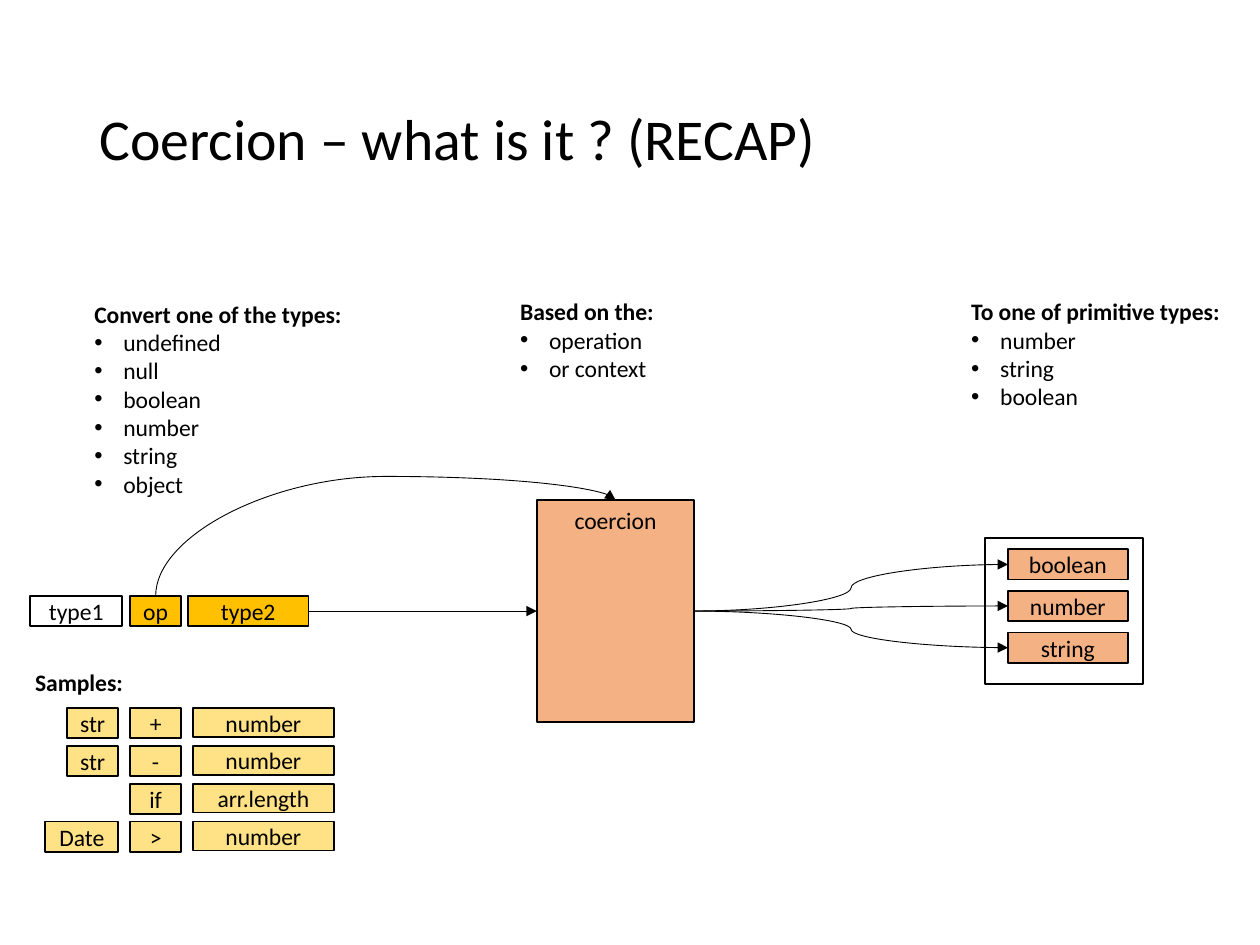
import pptx
import pptx.dml.color
import pptx.enum.shapes
import pptx.enum.text
import pptx.oxml.ns
import pptx.util
from lxml import etree

Inches, Pt = pptx.util.Inches, pptx.util.Pt
RGBColor = pptx.dml.color.RGBColor
ALIGN, ANCHOR = pptx.enum.text.PP_ALIGN, pptx.enum.text.MSO_ANCHOR
AUTO_SIZE = pptx.enum.text.MSO_AUTO_SIZE
SHAPE, CONNECTOR = pptx.enum.shapes.MSO_SHAPE, pptx.enum.shapes.MSO_CONNECTOR
qn = pptx.oxml.ns.qn

BLACK = RGBColor(0x00, 0x00, 0x00)
WHITE = RGBColor(0xFF, 0xFF, 0xFF)
AMBER = RGBColor(0xFF, 0xC0, 0x00)
YELLOW = RGBColor(0xFF, 0xE2, 0x85)
ORANGE = RGBColor(0xF4, 0xB1, 0x83)
FONT = "Calibri"
TEXT_SIZE, TITLE_SIZE = 13.5, 33
TOP, LEFT, BOTTOM, RIGHT = range(4)

# Content
TITLE = "Coercion – what is it ? (RECAP)"
LISTS = [  # position and size, heading, bullets
    ((0.65, 2.33, 2.18, 2.37), "Convert one of the types:",
     ["undefined", "null", "boolean", "number", "string", "object"]),
    ((4.03, 2.31, 1.27, 1.46), "Based on the:", ["operation", "or context"]),
    ((7.61, 2.31, 2.2, 1.24), "To one of primitive types:",
     ["number", "string", "boolean"]),
    ((0.18, 5.25, 0.91, 1.01), "Samples:", []),
]
EXPRESSION = [  # left, width, text, fill
    (0.24, 0.73, "type1", WHITE),
    (1.03, 0.41, "op", AMBER),
    (1.49, 0.96, "type2", AMBER),
]
PRIMITIVES = ["boolean", "number", "string"]
SAMPLES = [
    ("str", "+", "number"),
    ("str", "-", "number"),
    (None, "if", "arr.length"),
    ("Date", ">", "number"),
]

# Layout
CHIP_HEIGHT = 0.24
EXPRESSION_TOP = 4.73
PRIMITIVE_LEFT, PRIMITIVE_TOP, PRIMITIVE_STEP = 8, 4.36, 0.33
SAMPLE_TOP, SAMPLE_STEP = 5.62, 0.3
OPERAND_RIGHT = 0.94
OPERAND_WIDTHS = {"str": 0.41, "Date": 0.58}
ARC_RISE = 1.248  # how far the arc reaches, as a share of its height


def write(para, text, size=TEXT_SIZE, bold=False):
    span = para.add_run()
    span.text = text
    values = {"name": FONT, "size": Pt(size), "bold": bold}
    for name, value in values.items():
        setattr(span.font, name, value)
    span.font.color.rgb = BLACK


def add_bullet(para):
    properties = para._p.get_or_add_pPr()
    properties.set("marL", str(Inches(0.23)))
    properties.set("indent", str(-Inches(0.23)))
    etree.SubElement(properties, qn("a:buFont")).set("typeface", "Arial")
    etree.SubElement(properties, qn("a:buChar")).set("char", "•")


def add_box(page, place, text="", fill=None, anchor=ANCHOR.MIDDLE, margin=0):
    box = page.shapes.add_shape(SHAPE.RECTANGLE, *map(Inches, place))
    box.shadow.inherit = False
    if fill is None:
        box.fill.background()
    else:
        box.fill.solid()
        box.fill.fore_color.rgb = fill
    box.line.color.rgb = BLACK
    box.line.width = Pt(1)
    if text:
        frame = box.text_frame
        values = {"vertical_anchor": anchor, "margin_left": 0, "margin_right": 0,
                  "margin_top": Inches(margin), "margin_bottom": Inches(margin)}
        for name, value in values.items():
            setattr(frame, name, value)
        para = frame.paragraphs[0]
        para.alignment = ALIGN.CENTER
        write(para, text)
    return box


def add_list(page, place, heading, bullets):
    box = page.shapes.add_textbox(*map(Inches, place))
    frame = box.text_frame
    frame.word_wrap = False
    frame.auto_size = AUTO_SIZE.SHAPE_TO_FIT_TEXT
    write(frame.paragraphs[0], heading, bold=True)
    for bullet in bullets:
        para = frame.add_paragraph()
        add_bullet(para)
        write(para, bullet)


def add_arrow(page, source, source_side, target, target_side):
    arrow = page.shapes.add_connector(CONNECTOR.CURVE, 0, 0, 0, 0)
    arrow.begin_connect(source, source_side)
    arrow.end_connect(target, target_side)
    arrow.line.color.rgb = BLACK
    arrow.line.width = Pt(0.5)
    etree.SubElement(arrow.line._get_or_add_ln(), qn("a:tailEnd")).set("type", "triangle")
    etree.SubElement(arrow._element.spPr, qn("a:effectLst"))
    return arrow


def turn_into_arc(arrow):
    """Turn a connector a quarter so that it leaves upward and comes down on its target."""
    across, down = arrow.width, arrow.height
    middle_x, middle_y = arrow.left + across // 2, arrow.top + down // 2
    arrow.width, arrow.height = down, across
    arrow.left, arrow.top = middle_x - down // 2, middle_y - across // 2
    properties = arrow._element.spPr
    frame = properties.find(qn("a:xfrm"))
    for name, value in {"rot": "5400000", "flipH": "1", "flipV": "1"}.items():
        frame.set(name, value)
    guide = etree.SubElement(properties.find(qn("a:prstGeom")).find(qn("a:avLst")), qn("a:gd"))
    guide.set("name", "adj1")
    guide.set("fmla", f"val {round(ARC_RISE * 100000)}")


def add_title(page):
    title = page.shapes.title
    place = {"left": 0.69, "top": 0.4, "width": 8.62, "height": 1.45}
    for name, value in place.items():
        setattr(title, name, Inches(value))
    title.text_frame.auto_size = AUTO_SIZE.NONE
    title.text_frame.vertical_anchor = ANCHOR.MIDDLE
    para = title.text_frame.paragraphs[0]
    para.alignment = ALIGN.LEFT
    para.line_spacing = 0.9
    write(para, TITLE, TITLE_SIZE)


def main():
    deck = pptx.Presentation()
    deck.slide_width, deck.slide_height = Inches(10), Inches(7.5)
    page = deck.slides.add_slide(deck.slide_layouts[5])
    add_title(page)

    # Lists and headings
    for place, heading, bullets in LISTS:
        add_list(page, place, heading, bullets)

    # Expression, coercion and the primitive results
    parts = {text: add_box(page, (left, EXPRESSION_TOP, width, CHIP_HEIGHT), text, fill)
             for left, width, text, fill in EXPRESSION}
    coercion = add_box(page, (4.26, 3.97, 1.25, 1.76), "coercion", ORANGE, ANCHOR.TOP, 0.05)
    results = [add_box(page, (PRIMITIVE_LEFT, PRIMITIVE_TOP + row * PRIMITIVE_STEP,
                              0.95, CHIP_HEIGHT), text, ORANGE)
               for row, text in enumerate(PRIMITIVES)]
    add_box(page, (7.82, 4.27, 1.25, 1.16))

    # Arrows
    turn_into_arc(add_arrow(page, parts["op"], TOP, coercion, TOP))
    add_arrow(page, parts["type2"], RIGHT, coercion, LEFT)
    for result in results:
        add_arrow(page, coercion, RIGHT, result, LEFT)

    # Sample expressions
    for row, (operand, operator, value) in enumerate(SAMPLES):
        top = SAMPLE_TOP + row * SAMPLE_STEP
        if operand:
            width = OPERAND_WIDTHS[operand]
            add_box(page, (OPERAND_RIGHT - width, top, width, CHIP_HEIGHT), operand, YELLOW)
        add_box(page, (1.03, top, 0.41, CHIP_HEIGHT), operator, YELLOW)
        add_box(page, (1.53, top, 1.12, 0.23), value, YELLOW)

    deck.save("out.pptx")


if __name__ == "__main__":
    main()
